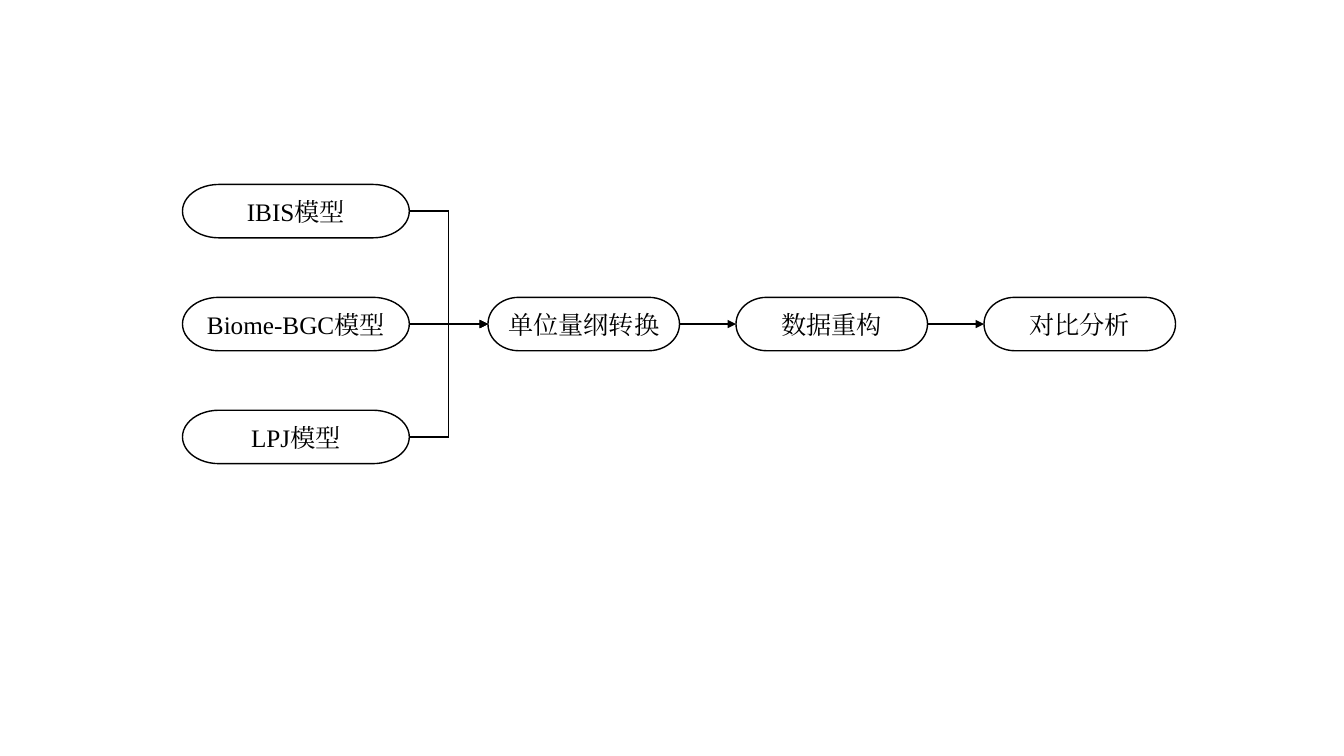
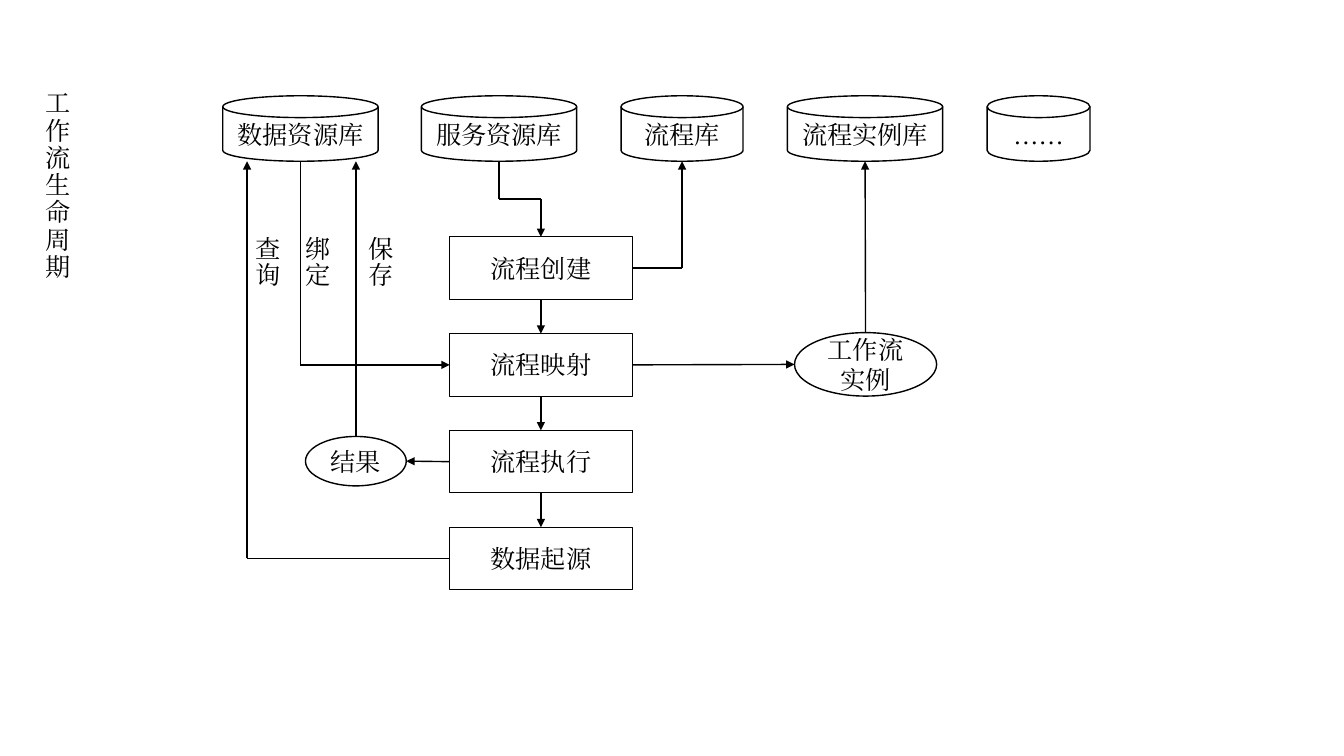
from itertools import pairwise

from lxml import etree
from pptx import Presentation
from pptx.dml.color import RGBColor
from pptx.enum.shapes import MSO_CONNECTOR, MSO_SHAPE as SHAPE
from pptx.enum.text import MSO_ANCHOR, MSO_AUTO_SIZE, PP_ALIGN
from pptx.oxml.ns import qn
from pptx.util import Inches, Pt

FONT = "Times New Roman"
INK, PAPER = "000000", "FFFFFF"


def color(value):
    return RGBColor.from_string(value)


def side(s, name):
    """Return the middle of one side of a shape, in inches."""
    x, y, w, h = (v.inches for v in (s.left, s.top, s.width, s.height))
    return {
        "left": (x, y + h / 2),
        "right": (x + w, y + h / 2),
        "top": (x + w / 2, y),
        "bottom": (x + w / 2, y + h),
    }[name]


class Diagram:
    """Draws black-on-white flow chart elements on the current slide."""

    def __init__(self):
        self.prs = Presentation()
        self.prs.slide_width = Inches(13.33)
        self.prs.slide_height = Inches(7.5)
        self.slide = None

    def new_slide(self):
        self.slide = self.prs.slides.add_slide(self.prs.slide_layouts[6])

    def add_text(self, tf, text, align):
        p = tf.paragraphs[0]
        p.alignment = align
        r = p.add_run()
        r.text = text
        r.font.size = Pt(18)
        r.font.name = FONT
        r.font.color.rgb = color(INK)
        etree.SubElement(r.font._element, qn("a:ea"), typeface=FONT)
        return p

    def node(self, kind, text, x, y, w, h, line=1, fill=PAPER, wrap=False):
        s = self.slide.shapes.add_shape(
            kind, Inches(x), Inches(y), Inches(w), Inches(h))
        s.shadow.inherit = False
        if fill:
            s.fill.solid()
            s.fill.fore_color.rgb = color(fill)
        else:
            s.fill.background()
        s.line.color.rgb = color(INK)
        s.line.width = Pt(line)
        tf = s.text_frame
        tf.word_wrap = wrap
        tf.vertical_anchor = MSO_ANCHOR.MIDDLE
        self.add_text(tf, text, PP_ALIGN.CENTER)
        return s

    def title(self, text):
        """Add a narrow title that breaks after each character."""
        sp = self.slide.shapes.add_textbox(
            Inches(0.35), Inches(0.32), Inches(0.68), Inches(3.06))
        tf = sp.text_frame
        tf.word_wrap = True
        tf.vertical_anchor = MSO_ANCHOR.MIDDLE
        self.add_text(tf, text, PP_ALIGN.LEFT).line_spacing = 0.9

    def vertical_label(self, text, x, y):
        sp = self.slide.shapes.add_textbox(
            Inches(x), Inches(y), Inches(0.5), Inches(0.61))
        tf = sp.text_frame
        tf.word_wrap = False
        tf.auto_size = MSO_AUTO_SIZE.SHAPE_TO_FIT_TEXT
        tf._txBody.bodyPr.set("vert", "eaVert")
        self.add_text(tf, text, PP_ALIGN.LEFT)

    def arrow(self, *points):
        """Join the points with straight lines, with a head at the last one."""
        for (x1, y1), (x2, y2) in pairwise(points):
            cx = self.slide.shapes.add_connector(
                MSO_CONNECTOR.STRAIGHT,
                Inches(x1), Inches(y1), Inches(x2), Inches(y2))
            cx.line.color.rgb = color(INK)
            cx.line.width = Pt(1)
            etree.SubElement(cx._element.spPr, qn("a:effectLst"))
        etree.SubElement(cx.line._get_or_add_ln(), qn("a:tailEnd"), type="triangle")


def model_comparison(d):
    d.new_slide()
    models = [
        d.node(SHAPE.FLOWCHART_TERMINATOR, text, 1.81, 1.83 + 1.12 * i, 2.25, 0.53)
        for i, text in enumerate(["IBIS模型", "Biome-BGC模型", "LPJ模型"])
    ]
    steps = [
        d.node(SHAPE.FLOWCHART_TERMINATOR, text, 4.84 + 2.46 * i, 2.95, 1.9, 0.53)
        for i, text in enumerate(["单位量纲转换", "数据重构", "对比分析"])
    ]
    target = side(steps[0], "left")
    bend = 4.45
    for model in models:
        start = side(model, "right")
        if model is models[1]:
            d.arrow(start, target)
        else:
            d.arrow(start, (bend, start[1]), (bend, target[1]), target)
    for a, b in pairwise(steps):
        d.arrow(side(a, "right"), side(b, "left"))


def workflow_life_cycle(d):
    d.new_slide()
    d.title("工作流生命周期")

    stores = [
        d.node(SHAPE.FLOWCHART_MAGNETIC_DISK, text, x, 0.95, w, 0.65)
        for text, x, w in [
            ("数据资源库", 2.21, 1.54),
            ("服务资源库", 4.18, 1.54),
            ("流程库", 6.16, 1.21),
            ("流程实例库", 7.81, 1.54),
            ("……", 9.79, 1.02),
        ]
    ]
    data, services, processes, instances = (side(s, "bottom") for s in stores[:4])

    stages = [
        d.node(SHAPE.RECTANGLE, text, 4.46, 2.35 + 0.96 * i, 1.81, 0.62,
               line=0.75, fill=None)
        for i, text in enumerate(["流程创建", "流程映射", "流程执行", "数据起源"])
    ]
    create, mapping, execute, origin = stages
    instance = d.node(SHAPE.OVAL, "工作流实例", 7.88, 3.3, 1.41, 0.63, wrap=True)
    result = d.node(SHAPE.OVAL, "结果", 3.03, 4.33, 1, 0.49)

    for a, b in pairwise(stages):
        d.arrow(side(a, "bottom"), side(b, "top"))

    top = side(create, "top")
    bend = (services[1] + top[1]) / 2
    d.arrow(services, (services[0], bend), (top[0], bend), top)

    start = side(create, "right")
    d.arrow(start, (processes[0], start[1]), processes)

    end = side(mapping, "left")
    d.arrow(data, (data[0], end[1]), end)
    d.arrow(side(mapping, "right"), side(instance, "left"))
    d.arrow(side(instance, "top"), instances)

    d.arrow(side(execute, "left"), side(result, "right"))
    start = side(result, "top")
    d.arrow(start, (start[0], data[1]))

    start = side(origin, "left")
    query_x = 2.45
    d.arrow(start, (query_x, start[1]), (query_x, data[1]))

    for text, x in [("查询", 2.35), ("绑定", 2.85), ("保存", 3.47)]:
        d.vertical_label(text, x, 2.25)


def main():
    d = Diagram()
    model_comparison(d)
    workflow_life_cycle(d)
    d.prs.save("out.pptx")


if __name__ == "__main__":
    main()
